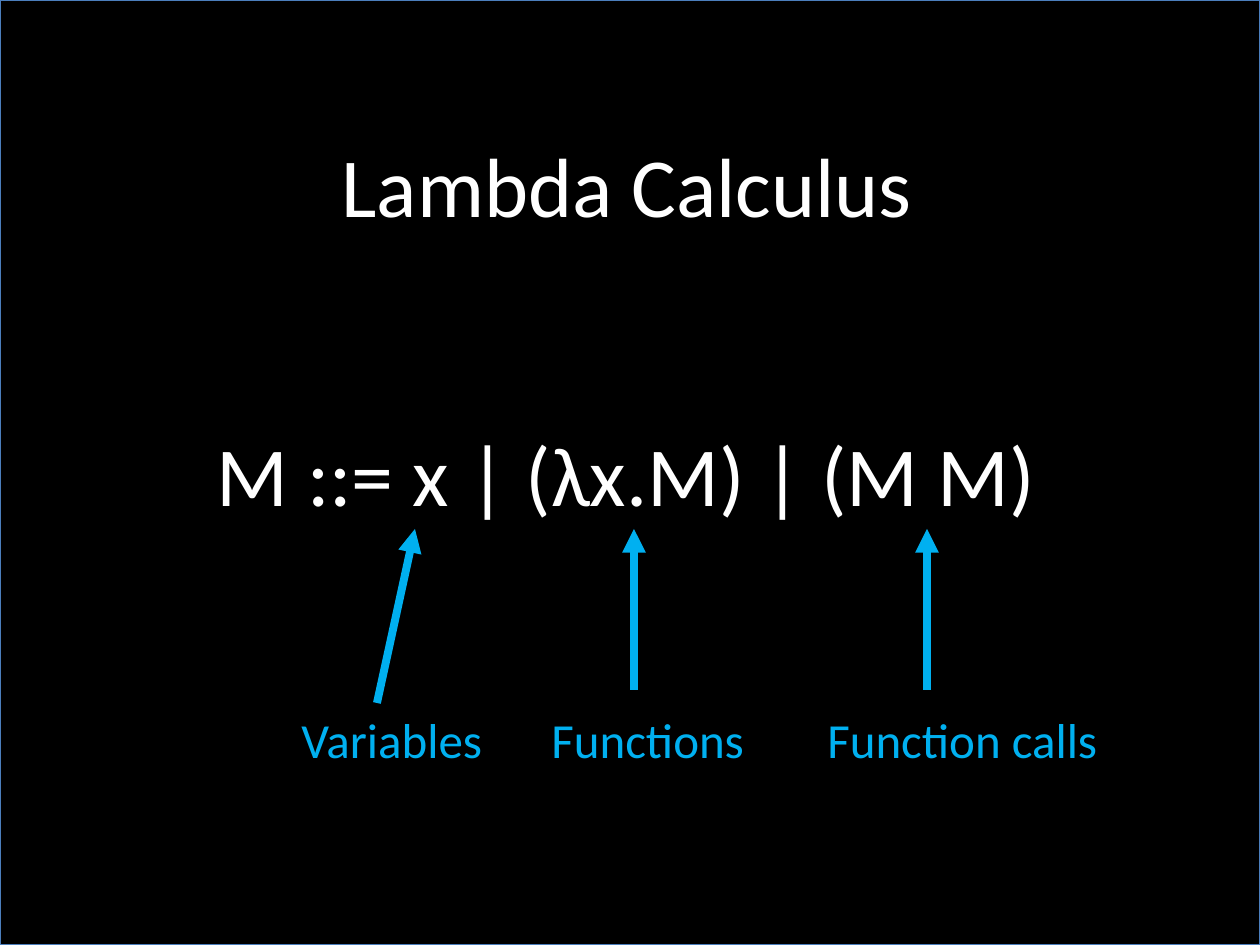
from dataclasses import dataclass

from lxml import etree
from pptx import Presentation
from pptx import util as u
from pptx.dml.color import RGBColor
from pptx.enum import shapes, text
from pptx.oxml.ns import qn


@dataclass(frozen=True)
class Theme:
    font: str = "Calibri"
    background: str = "000000"
    border: str = "4B7EBC"
    main: str = "FFFFFF"
    accent: str = "00B0F0"
    main_size: int = 48
    label_size: int = 28
    border_width: float = 0.75
    arrow_width: float = 4.5


THEME = Theme()
PX = u.Inches(1) / 126
WIDTH, HEIGHT = 1260, 945

# Content: text with its box (left, top, width, height)
TITLE = ("Lambda Calculus", (329, 127, 601, 115))
GRAMMAR = ("M ::= x | (λx.M) | (M M)", (204, 416, 852, 115))
# Label, left, width, arrow start, arrow tip x
TERMS = [
    ("Variables", 289, 208, (377, 703), 415),
    ("Functions", 539, 221, (634, 690), 634),
    ("Function calls", 815, 299, (927, 690), 927),
]
LABEL_TOP, LABEL_HEIGHT, TIP_Y = 703, 72, 529


def emu(*lengths):
    return [round(length * PX) for length in lengths]


def write(shape, words, size, color):
    frame = shape.text_frame
    frame.text = words
    frame.word_wrap = False
    frame.auto_size = text.MSO_AUTO_SIZE.SHAPE_TO_FIT_TEXT
    frame.vertical_anchor = text.MSO_ANCHOR.TOP
    paragraph = frame.paragraphs[0]
    paragraph.alignment = text.PP_ALIGN.LEFT
    font = paragraph.runs[0].font
    font.name, font.size = THEME.font, u.Pt(size)
    font.color.rgb = RGBColor.from_string(color)


def add_label(slide, words, box, size, color):
    write(slide.shapes.add_textbox(*emu(*box)), words, size, color)


def add_arrow(slide, start, tip):
    arrow = slide.shapes.add_connector(
        shapes.MSO_CONNECTOR.STRAIGHT, *emu(*start, *tip))
    arrow.line.color.rgb = RGBColor.from_string(THEME.accent)
    arrow.line.width = u.Pt(THEME.arrow_width)
    etree.SubElement(arrow.line._get_or_add_ln(), qn("a:tailEnd"), type="triangle")
    etree.SubElement(arrow._element.spPr, qn("a:effectLst"))


def main():
    deck = Presentation()
    deck.slide_width, deck.slide_height = emu(WIDTH, HEIGHT)
    slide = deck.slides.add_slide(deck.slide_layouts[5])

    # Title
    title = slide.shapes.title
    words, box = TITLE
    title.left, title.top, title.width, title.height = emu(*box)
    write(title, words, THEME.main_size, THEME.main)

    # Black backdrop, placed behind the title
    backdrop = slide.shapes.add_shape(
        shapes.MSO_SHAPE.RECTANGLE, *emu(0, 0, WIDTH, HEIGHT))
    backdrop.shadow.inherit = False
    backdrop.fill.solid()
    backdrop.fill.fore_color.rgb = RGBColor.from_string(THEME.background)
    backdrop.line.color.rgb = RGBColor.from_string(THEME.border)
    backdrop.line.width = u.Pt(THEME.border_width)
    title._element.addprevious(backdrop._element)

    # Grammar and its explained terms
    add_label(slide, *GRAMMAR, THEME.main_size, THEME.main)
    for term, left, width, start, tip_x in TERMS:
        add_label(slide, term, (left, LABEL_TOP, width, LABEL_HEIGHT),
                  THEME.label_size, THEME.accent)
        add_arrow(slide, start, (tip_x, TIP_Y))

    deck.save("out.pptx")


if __name__ == "__main__":
    main()
